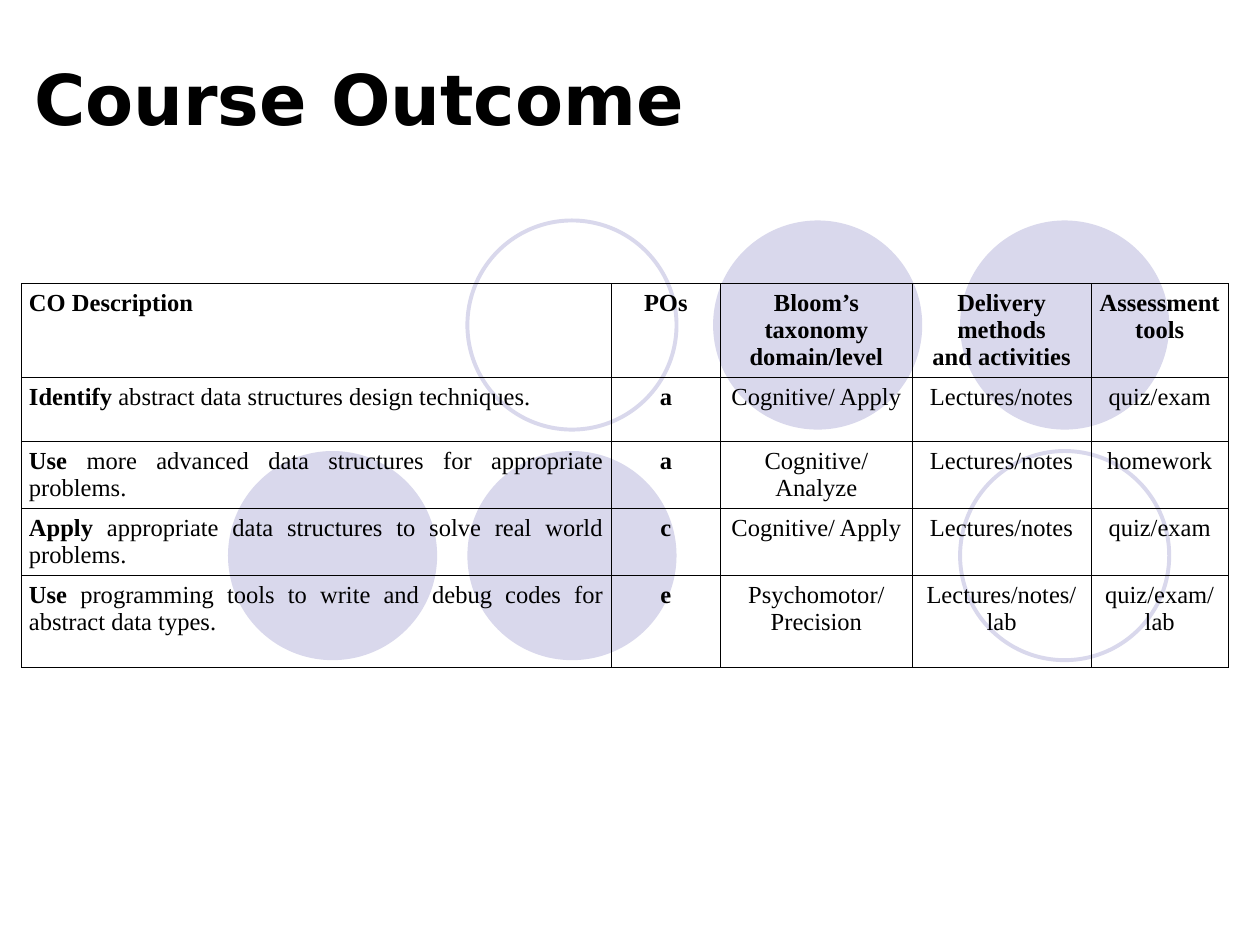
from dataclasses import dataclass

from lxml import etree
from pptx import Presentation
from pptx.dml.color import RGBColor
from pptx.enum.shapes import MSO_SHAPE
from pptx.enum.text import MSO_ANCHOR, MSO_AUTO_SIZE, PP_ALIGN
from pptx.oxml.ns import qn
from pptx.slide import Slide
from pptx.table import _Cell
from pptx.util import Inches, Pt

OVAL = MSO_SHAPE.OVAL
BOTTOM = MSO_ANCHOR.BOTTOM
NO_AUTOFIT = MSO_AUTO_SIZE.NONE
LEFT, CENTER, JUSTIFY = PP_ALIGN.LEFT, PP_ALIGN.CENTER, PP_ALIGN.JUSTIFY

BLACK = RGBColor(0x00, 0x00, 0x00)
LAVENDER = RGBColor(0xD9, 0xD8, 0xEC)
TITLE_FONT = "DejaVu Sans"
TABLE_FONT = "Times New Roman"

DIAMETER = 1.66
UPPER, LOWER = 1.75, 3.58
COLUMN_WIDTHS = (4.68, 0.87, 1.52, 1.42, 1.09)
ROW_HEIGHTS = (0.74, 0.51, 0.51, 0.51, 0.73)


@dataclass(frozen=True)
class Circle:
    left: float
    top: float
    solid: bool = True


@dataclass(frozen=True)
class Outcome:
    verb: str
    description: str
    program_outcome: str
    level: str
    delivery: str
    assessment: str


CIRCLES = (
    Circle(7.62, UPPER),
    Circle(5.66, UPPER),
    Circle(3.71, UPPER, solid=False),
    Circle(3.71, LOWER),
    Circle(1.81, LOWER),
    Circle(7.62, LOWER, solid=False),
)

HEADINGS = (
    ("CO Description",),
    ("POs",),
    ("Bloom’s taxonomy", "domain/level"),
    ("Delivery methods", "and activities"),
    ("Assessment", "tools"),
)

OUTCOMES = (
    Outcome("Identify", " abstract data structures design techniques.",
            "a", "Cognitive/ Apply", "Lectures/notes", "quiz/exam"),
    Outcome("Use", " more advanced data structures for appropriate problems.",
            "a", "Cognitive/ Analyze", "Lectures/notes", "homework"),
    Outcome("Apply", " appropriate data structures to solve real world problems.",
            "c", "Cognitive/ Apply", "Lectures/notes", "quiz/exam"),
    Outcome("Use", " programming tools to write and debug codes for abstract data types.",
            "e", "Psychomotor/ Precision", "Lectures/notes/\nlab", "quiz/exam/lab"),
)


def add_title(slide: Slide) -> None:
    title = slide.shapes.title
    title.left, title.top = Inches(0.17), Inches(0.33)
    title.width, title.height = Inches(8.5), Inches(0.83)
    frame = title.text_frame
    frame.text = "Course Outcome"
    frame.auto_size = NO_AUTOFIT
    frame.vertical_anchor = BOTTOM
    heading = frame.paragraphs[0]
    heading.alignment = LEFT
    heading.font.name = TITLE_FONT
    heading.font.size = Pt(40)
    heading.font.bold = True
    heading.font.color.rgb = BLACK


def add_circle(slide: Slide, circle: Circle) -> None:
    oval = slide.shapes.add_shape(
        OVAL, Inches(circle.left), Inches(circle.top), Inches(DIAMETER), Inches(DIAMETER)
    )
    oval.shadow.inherit = False
    if circle.solid:
        oval.fill.solid()
        oval.fill.fore_color.rgb = LAVENDER
        oval.line.fill.background()
    else:
        oval.fill.background()
        oval.line.color.rgb = LAVENDER
        oval.line.width = Pt(2.25)


def add_borders(cell: _Cell) -> None:
    properties = cell._tc.get_or_add_tcPr()
    for side in ("a:lnL", "a:lnR", "a:lnT", "a:lnB"):
        border = etree.SubElement(properties, qn(side), w=str(Pt(0.45)))
        fill = etree.SubElement(border, qn("a:solidFill"))
        etree.SubElement(fill, qn("a:srgbClr"), val=str(BLACK))


def fill_cell(cell: _Cell, lines: tuple[str, ...], alignment: PP_ALIGN,
              bold: bool = False, lead: str = "") -> None:
    add_borders(cell)
    cell.fill.background()
    cell.margin_left = cell.margin_right = Inches(0.06)
    cell.margin_top = cell.margin_bottom = Inches(0.05)
    frame = cell.text_frame
    for index, line in enumerate(lines):
        paragraph = frame.add_paragraph() if index else frame.paragraphs[0]
        if lead:
            verb = paragraph.add_run()
            verb.text = lead
            verb.font.bold = True
            paragraph.add_run().text = line
        else:
            paragraph.text = line
        paragraph.alignment = alignment
        paragraph.font.name = TABLE_FONT
        paragraph.font.size = Pt(14)
        paragraph.font.bold = bold
        paragraph.font.color.rgb = BLACK


def add_outcome_table(slide: Slide) -> None:
    table = slide.shapes.add_table(
        len(ROW_HEIGHTS), len(COLUMN_WIDTHS), Inches(0.17), Inches(2.25),
        Inches(sum(COLUMN_WIDTHS)), Inches(sum(ROW_HEIGHTS)),
    ).table
    table.first_row = False
    table.horz_banding = False
    for column, width in zip(table.columns, COLUMN_WIDTHS):
        column.width = Inches(width)
    for row, height in zip(table.rows, ROW_HEIGHTS):
        row.height = Inches(height)

    for column, lines in enumerate(HEADINGS):
        fill_cell(table.cell(0, column), lines, CENTER if column else JUSTIFY, bold=True)
    for row, outcome in enumerate(OUTCOMES, start=1):
        fill_cell(table.cell(row, 0), (outcome.description,), JUSTIFY, lead=outcome.verb)
        fill_cell(table.cell(row, 1), (outcome.program_outcome,), CENTER, bold=True)
        details = (outcome.level, outcome.delivery, outcome.assessment)
        for column, detail in enumerate(details, start=2):
            fill_cell(table.cell(row, column), (detail,), CENTER)


def main() -> None:
    presentation = Presentation()
    presentation.slide_width = Inches(10)
    presentation.slide_height = Inches(7.5)
    slide = presentation.slides.add_slide(presentation.slide_layouts[5])
    for circle in CIRCLES:
        add_circle(slide, circle)
    add_title(slide)
    add_outcome_table(slide)
    presentation.save("out.pptx")


if __name__ == "__main__":
    main()
